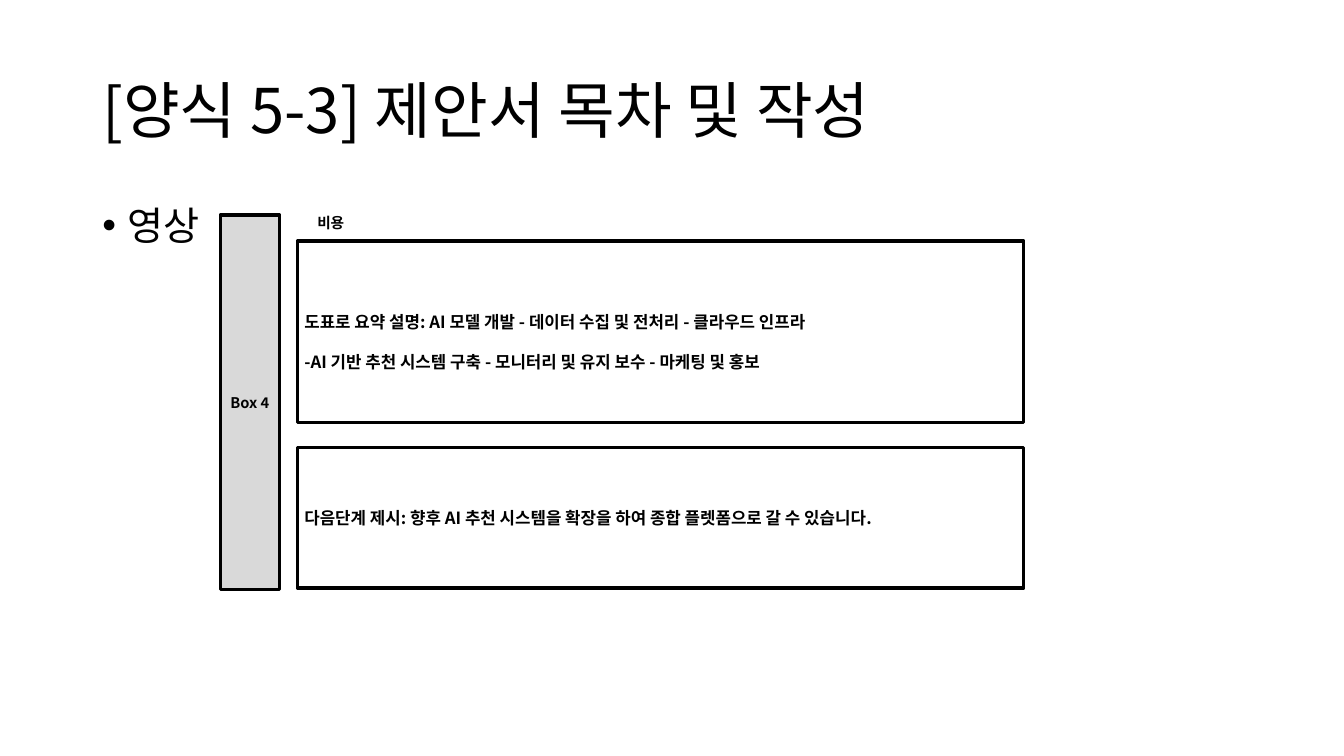
from lxml import etree
from pptx import Presentation
from pptx.dml.color import RGBColor
from pptx.enum.shapes import MSO_SHAPE
from pptx.enum.text import MSO_ANCHOR, PP_ALIGN
from pptx.oxml.ns import qn
from pptx.util import Pt

RECTANGLE = MSO_SHAPE.RECTANGLE
TOP = MSO_ANCHOR.TOP
MIDDLE = MSO_ANCHOR.MIDDLE
LEFT = PP_ALIGN.LEFT
CENTER = PP_ALIGN.CENTER
FONT = "Noto Sans CJK KR"
BLACK = "000000"
GREY = "D9D9D9"


def color(value):
    return RGBColor.from_string(value)


def write(shape, text, size, bold=False, anchor=TOP, align=LEFT, spacing=1.0):
    frame = shape.text_frame
    frame.text = text
    frame.word_wrap = True
    frame.vertical_anchor = anchor
    para = frame.paragraphs[0]
    para.alignment = align
    para.line_spacing = spacing
    for span in para.runs:
        span.font.size = Pt(size)
        span.font.bold = bold
        span.font.name = FONT
        span.font.color.rgb = color(BLACK)
        east_asian = etree.SubElement(span.font._element, qn("a:ea"))
        east_asian.set("typeface", FONT)


def add_text(page, place, text, size, **style):
    box = page.shapes.add_textbox(*map(Pt, place))
    write(box, text, size, **style)
    return box


def add_box(page, place, text, size, fill=None, **style):
    box = page.shapes.add_shape(RECTANGLE, *map(Pt, place))
    box.shadow.inherit = False
    if fill:
        box.fill.solid()
        box.fill.fore_color.rgb = color(fill)
    else:
        box.fill.background()
    box.line.color.rgb = color(BLACK)
    box.line.width = Pt(2.25)
    frame = box.text_frame
    frame.margin_left = frame.margin_right = Pt(5)
    frame.margin_top = frame.margin_bottom = Pt(3)
    write(box, text, size, bold=True, anchor=MIDDLE, **style)


def add_bullet(box):
    properties = box.text_frame.paragraphs[0]._p.get_or_add_pPr()
    properties.set("marL", str(Pt(18)))
    properties.set("indent", str(Pt(-18)))
    etree.SubElement(properties, qn("a:buFont")).set("typeface", "Arial")
    etree.SubElement(properties, qn("a:buChar")).set("char", "•")


def main():
    deck = Presentation()
    deck.slide_width, deck.slide_height = Pt(960), Pt(540)
    page = deck.slides.add_slide(deck.slide_layouts[6])

    add_text(page, (66, 28.8, 828, 104.4), "[양식 5-3] 제안서 목차 및 작성", 44,
             anchor=MIDDLE, spacing=0.9)
    topic = add_text(page, (66, 143.8, 828, 342.6), "영상", 28, spacing=0.9)
    add_bullet(topic)

    add_box(page, (157.2, 153.6, 42.6, 267.8), "Box 4", 10.5,
            fill=GREY, align=CENTER)
    summary = ("도표로 요약 설명: AI 모델 개발 - 데이터 수집 및 전처리 - 클라우드 인프라\v"
               "-AI 기반 추천 시스템 구축 - 모니터리 및 유지 보수 - 마케팅 및 홍보")
    next_step = "다음단계 제시: 향후 AI 추천 시스템을 확장을 하여 종합 플렛폼으로 갈 수 있습니다."
    add_box(page, (212.4, 172.2, 519, 129.6), summary, 12, spacing=2.0)
    add_box(page, (212.4, 319.7, 519, 100.4), next_step, 12)
    add_text(page, (219.6, 149, 183, 20), "비용", 10.5, bold=True)

    deck.save("out.pptx")


if __name__ == "__main__":
    main()
